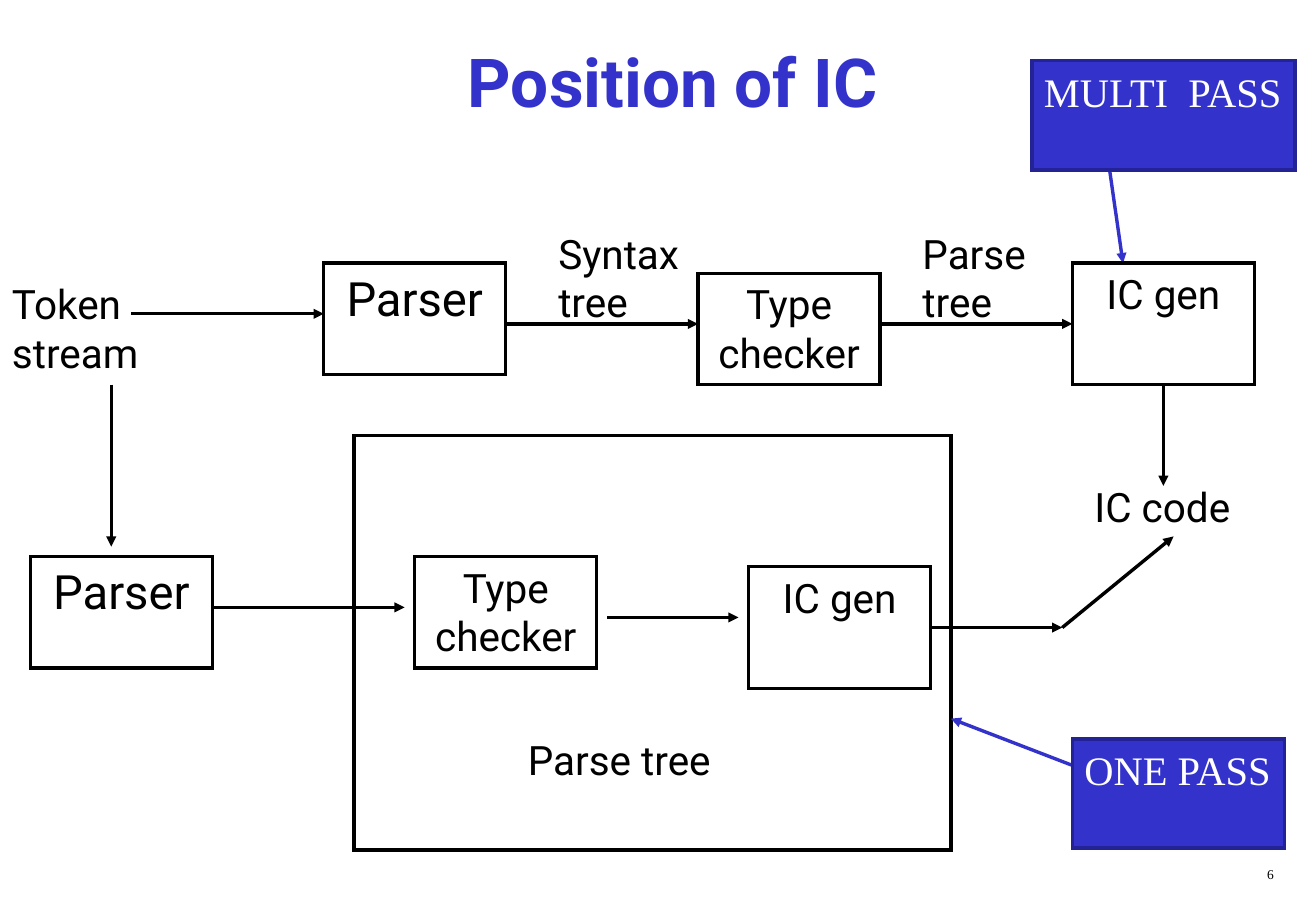
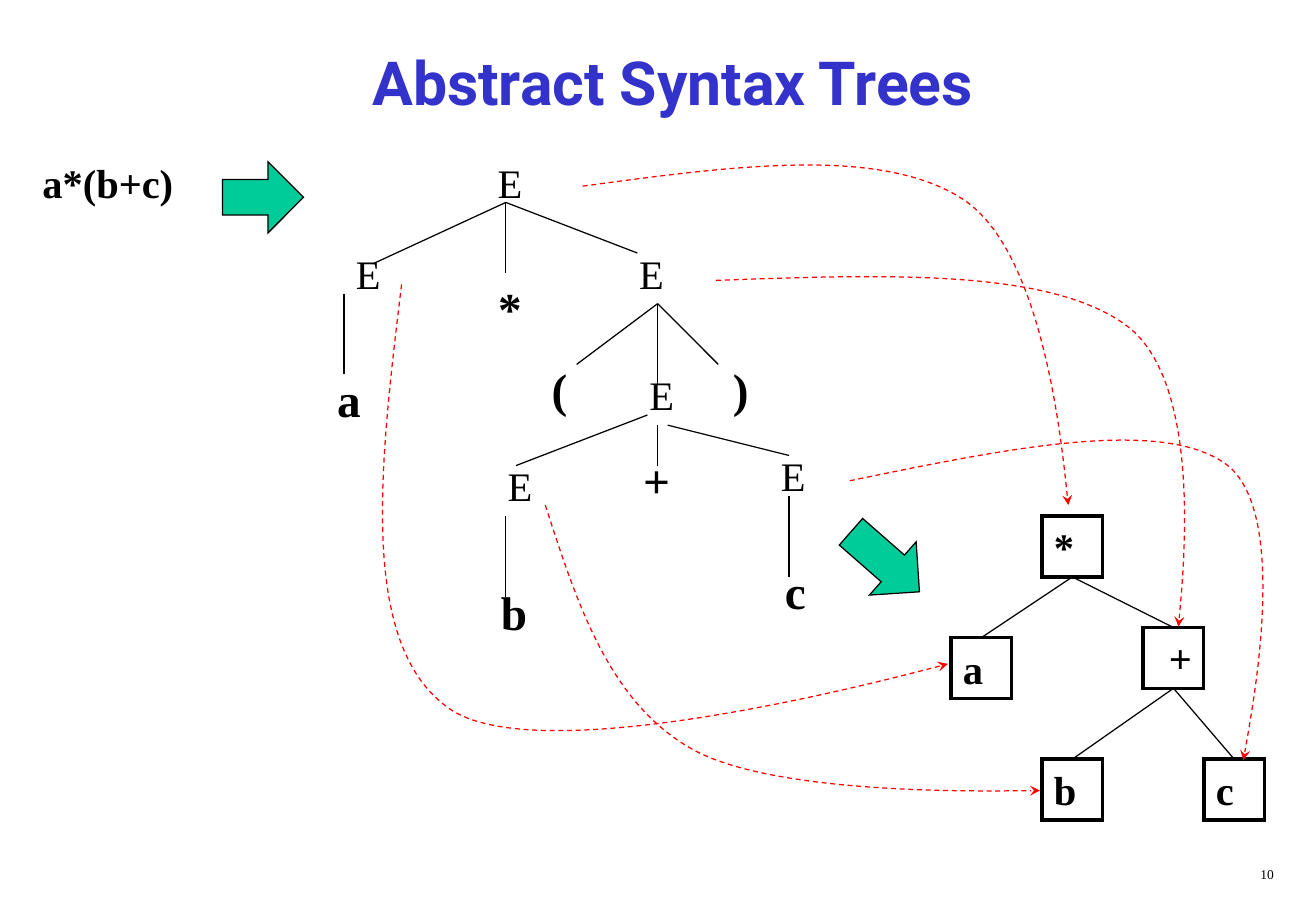
import pptx
import pptx.util
import pptx.dml.color
import pptx.enum.dml
import pptx.enum.shapes
import pptx.enum.text
import pptx.oxml
import pptx.oxml.ns

COLORS = {
    "ink": "000000",
    "paper": "FFFFFF",
    "accent": "3333CC",
    "accent_edge": "232395",
    "arrow": "00CC99",
    "link": "FF0000",
}
SANS, SERIF = "Roboto", "Times New Roman"
CELL = pptx.util.Inches(1) / 12
SHAPES = pptx.enum.shapes.MSO_SHAPE
ALIGN = pptx.enum.text.PP_ALIGN
THIN, THICK = 0.75, 2
NODE_WIDTH = 9
SQUARE = 6

LABEL = {"name": SANS, "size": 24}
PARSER = {"name": SANS, "size": 28}
PASS = {"name": SERIF, "size": 24, "color": "paper"}
NODE = {"name": SERIF, "size": 24}
SQUARE_TEXT = {"name": SERIF, "size": 24, "bold": True}
LEAF = {"name": SERIF, "size": 28, "bold": True}
NUMBER = {"name": SERIF, "size": 8}


def grid(*cells):
    return [round(cell * CELL) for cell in cells]


def rgb(name):
    return pptx.dml.color.RGBColor.from_string(COLORS[name])


def element(tag, **values):
    space = pptx.oxml.ns.nsdecls("a")
    made = pptx.oxml.parse_xml(f"<a:{tag} {space}/>")
    for key, value in values.items():
        made.set(key, value)
    return made


def write(frame, text, style, align=ALIGN.LEFT):
    frame.word_wrap = True
    para = frame.paragraphs[0]
    para.alignment = align
    span = para.add_run()
    span.text = text
    values = {"bold": False, **style, "size": pptx.util.Pt(style["size"])}
    color = values.pop("color", "ink")
    for key, value in values.items():
        setattr(span.font, key, value)
    span.font.color.rgb = rgb(color)


def add_page(deck, title, size, number):
    page = deck.slides.add_slide(deck.slide_layouts[5])
    box = page.shapes.title
    places = zip(("left", "top", "width", "height"), grid(5, 2, 123, 12))
    for key, value in places:
        setattr(box, key, value)
    box.text_frame.vertical_anchor = pptx.enum.text.MSO_ANCHOR.MIDDLE
    style = {"name": SANS, "size": size, "bold": True, "color": "accent"}
    write(box.text_frame, title, style, ALIGN.CENTER)
    add_text(page, (100, 85, 27.1, 3), number, NUMBER, ALIGN.RIGHT)
    return page


def add_text(page, place, text, style, align=ALIGN.LEFT):
    box = page.shapes.add_textbox(*grid(*place))
    write(box.text_frame, text, style, align)


def set_line(shape, color, width):
    shape.line.color.rgb = rgb(color)
    shape.line.width = pptx.util.Pt(width)


def finish_line(shape, tag, **values):
    outline = shape._element.spPr.find(pptx.oxml.ns.qn("a:ln"))
    outline.append(element(tag, **values))


def add_box(page, place, text="", style=LABEL, align=ALIGN.CENTER,
            fill="paper", edge="ink", width=THICK, kind=SHAPES.RECTANGLE):
    box = page.shapes.add_shape(kind, *grid(*place))
    box.shadow.inherit = False
    box.fill.solid()
    box.fill.fore_color.rgb = rgb(fill)
    set_line(box, edge, width)
    finish_line(box, "miter", lim="800000")
    if text:
        box.text_frame.vertical_anchor = pptx.enum.text.MSO_ANCHOR.TOP
        write(box.text_frame, text, style, align)
    return box


def add_line(page, start, end, color="ink", width=THIN, head=None):
    line = page.shapes.add_connector(
        pptx.enum.shapes.MSO_CONNECTOR.STRAIGHT, *grid(*start, *end))
    set_line(line, color, width)
    if head:
        finish_line(line, "tailEnd", type=head)
    line._element.spPr.append(element("effectLst"))


def bend(shape):
    steps = list(shape._element.iter(pptx.oxml.ns.qn("a:lnTo")))
    for first in range(0, len(steps), 3):
        cubic = element("cubicBezTo")
        steps[first].addprevious(cubic)
        for step in steps[first:first + 3]:
            cubic.append(step[0])
            step.getparent().remove(step)


def add_curve(page, start, lead, knot, end):
    middle = [(a + b) / 2 for a, b in zip(start, lead)]
    follow = [2 * k - b for k, b in zip(knot, lead)]
    points = [grid(*point) for point in (middle, lead, knot, follow, end, end)]
    builder = page.shapes.build_freeform(*grid(*start))
    builder.add_line_segments(points, close=False)
    curve = builder.convert_to_shape()
    bend(curve)
    curve.shadow.inherit = False
    curve.fill.background()
    set_line(curve, "link", THIN)
    curve.line.dash_style = pptx.enum.dml.MSO_LINE.DASH
    finish_line(curve, "tailEnd", type="stealth")


def draw_passes(deck):
    page = add_page(deck, "Position of IC", 40, "6")
    add_box(page, (35, 43, 59, 41))

    arrows = [
        ((13, 31), (32, 31)), ((50, 32), (69, 32)), ((87, 32), (106, 32)),
        ((115, 38), (115, 48)), ((11, 38), (11, 54)), ((21, 60), (40, 60)),
        ((60, 61), (73, 61)), ((92, 62), (105, 62)), ((105, 62), (116, 53)),
    ]
    for start, end in arrows:
        add_line(page, start, end, width=THICK, head="triangle")
    for start, end in [((107, 76), (94, 71)), ((109, 12), (111, 26))]:
        add_line(page, start, end, "accent", THICK, "triangle")

    stages = [
        (32, 26, 11, "Parser", PARSER), (69, 27, 11, "Type checker", LABEL),
        (106, 26, 12, "IC gen", LABEL), (3, 55, 11, "Parser", PARSER),
        (41, 55, 11, "Type checker", LABEL), (74, 56, 12, "IC gen", LABEL),
    ]
    for left, top, height, text, style in stages:
        add_box(page, (left, top, 18, height), text, style)

    labels = [
        (0, 27, 16, 10.8, "Token stream"), (54, 22, 16, 10.8, "Syntax tree"),
        (90, 22, 16, 10.8, "Parse tree"), (107, 47, 16, 10.8, "IC code"),
        (51, 72, 24, 6, "Parse tree"),
    ]
    for *place, text in labels:
        add_text(page, place, text, LABEL)

    for left, top, width, text in [(106, 73, 21, "ONE PASS"),
                                   (102, 6, 26, "MULTI  PASS")]:
        add_box(page, (left, top, width, 10.8), text, PASS, ALIGN.LEFT,
                fill="accent", edge="accent_edge")


def draw_trees(deck):
    page = add_page(deck, "Abstract Syntax Trees", 36, "10")
    add_text(page, (3, 15, 21, 6), "a*(b+c)", SQUARE_TEXT)

    nodes = [(50.4, 15), (36.4, 24), (64.4, 24),
             (65.4, 36), (51.4, 45), (78.4, 44)]
    leaves = [("*", 50.4, 27), ("a", 34.5, 36), ("(", 55.3, 35),
              (")", 73.2, 35), ("+", 64.9, 44), ("b", 50.8, 57),
              ("c", 78.6, 55)]
    symbols = [("E", *node, NODE) for node in nodes]
    symbols += [(*leaf, LEAF) for leaf in leaves]
    for text, center, top, style in symbols:
        place = (center - NODE_WIDTH / 2, top, NODE_WIDTH, 6)
        add_text(page, place, text, style, ALIGN.CENTER)

    squares = [("*", 103, 51, ALIGN.LEFT), ("a", 94, 63, ALIGN.LEFT),
               ("+", 113, 62, ALIGN.RIGHT), ("b", 103, 75, ALIGN.LEFT),
               ("c", 119, 75, ALIGN.LEFT)]
    for text, left, top, align in squares:
        add_box(page, (left, top, SQUARE, SQUARE), text, SQUARE_TEXT, align)

    for place, angle in [((22, 16, 8, 7), 0), ((83, 52, 9, 7), 41.2)]:
        arrow = add_box(page, place, fill="arrow", width=THIN,
                        kind=SHAPES.RIGHT_ARROW)
        arrow.rotation = angle

    branches = {
        (50, 20): [(37, 26), (50, 27), (63, 25)],
        (34, 29): [(34, 37)],
        (65, 30): [(65, 38), (57, 36), (71, 36)],
        (64, 41): [(51, 46)],
        (65, 42): [(65, 46)],
        (66, 42): [(78, 45)],
        (50, 51): [(50, 59)],
        (78, 49): [(78, 57)],
        (106, 57): [(97, 63), (116, 62)],
        (116, 68): [(106, 75), (122, 75)],
    }
    for start, ends in branches.items():
        for end in ends:
            add_line(page, start, end)

    curves = [
        ((57.6, 18.4), (87.1, 14.4), (95.2, 19.7), (105.6, 49.9)),
        ((39.7, 28.1), (35.4, 63.7), (44.4, 70), (93.7, 65.6)),
        ((70.8, 27.7), (103.8, 26.5), (111.4, 32.2), (116.5, 61.9)),
        ((53.9, 49.9), (60.2, 69.4), (68.4, 74), (102.8, 78.1)),
        ((84, 47.5), (114.6, 41.2), (121.1, 45.8), (122.9, 75.1)),
    ]
    for curve in curves:
        add_curve(page, *curve)


def main():
    deck = pptx.Presentation()
    deck.slide_width = pptx.util.Inches(10.84)
    deck.slide_height = pptx.util.Inches(7.5)
    draw_passes(deck)
    draw_trees(deck)
    deck.save("out.pptx")


if __name__ == "__main__":
    main()
